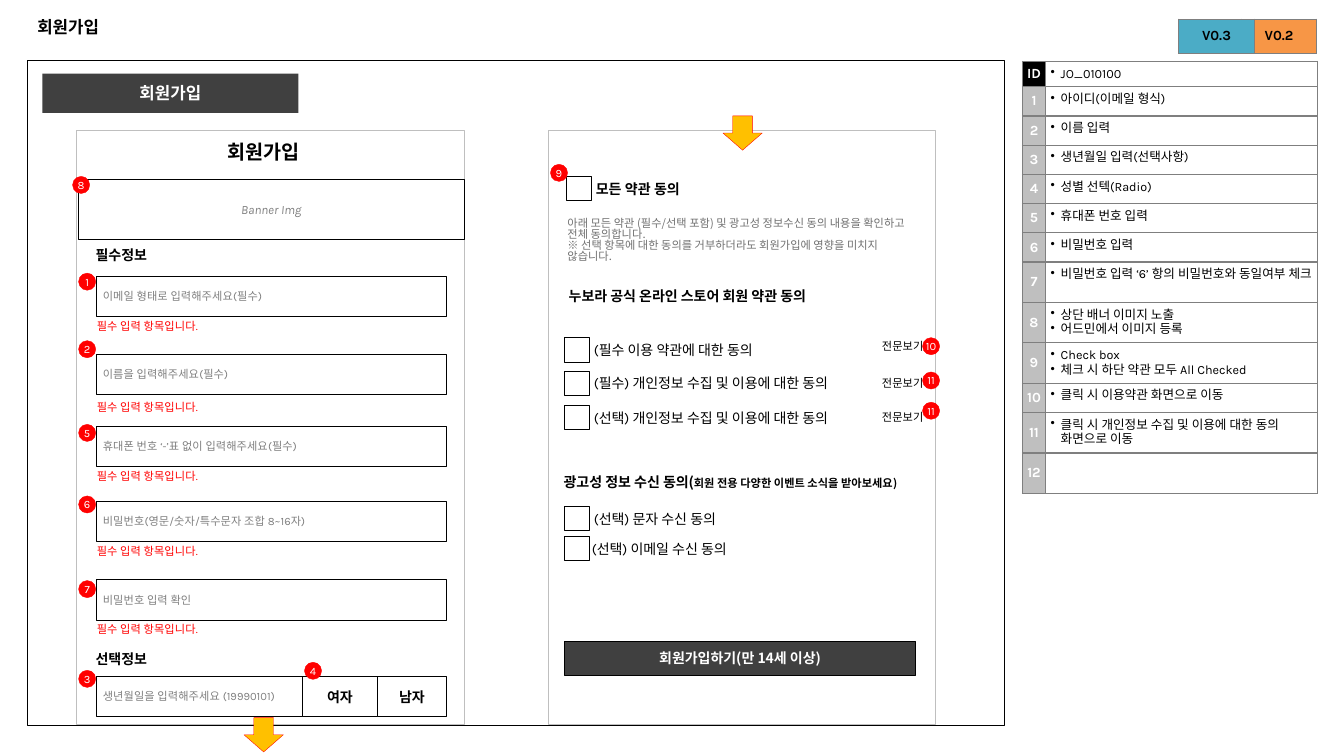
from lxml.etree import SubElement
from pptx import Presentation
from pptx.dml.color import RGBColor
from pptx.enum.shapes import MSO_SHAPE
from pptx.enum.text import MSO_ANCHOR, PP_ALIGN
from pptx.oxml.ns import qn
from pptx.util import Inches, Pt

BLACK, WHITE, RED, GRAY = "000000", "FFFFFF", "FF0000", "808080"
DARK, SILVER, AMBER = "404040", "BFBFBF", "FFC000"
KARLA, NOTO, ARIAL = "Karla", "Noto Sans CJK KR", "Arial"
LEFT, CENTER, RIGHT = PP_ALIGN.LEFT, PP_ALIGN.CENTER, PP_ALIGN.RIGHT
TOP, MIDDLE = MSO_ANCHOR.TOP, MSO_ANCHOR.MIDDLE


def color(value):
    """Turn a hex string into a colour."""
    return RGBColor.from_string(value)


class Wireframe:
    """Draw the elements of a screen specification on one page."""

    def __init__(self, page):
        """Keep the page to draw on."""
        self.page = page

    def style(self, span, size, ink=BLACK, font=KARLA, bold=False, italic=False):
        """Format one run for Latin and Korean text."""
        span.font.name = font
        span.font.size = Pt(size)
        span.font.bold = bold
        span.font.italic = italic
        span.font.color.rgb = color(ink)
        latin = span.font._element.find(qn("a:latin"))
        east_asian = SubElement(span.font._element, qn("a:ea"), typeface=font)
        latin.addnext(east_asian)

    def fill_text(self, frame, text, size, align=LEFT, anchor=MIDDLE, inset=0.04,
                  wrap=True, **look):
        """Fill a text frame, one paragraph per line."""
        frame.text = text
        frame.word_wrap = wrap
        frame.vertical_anchor = anchor
        frame.margin_left = frame.margin_right = Inches(inset)
        frame.margin_top = frame.margin_bottom = Inches(min(inset, 0.05))
        for para in frame.paragraphs:
            para.alignment = align
            for span in para.runs:
                self.style(span, size, **look)

    def title(self, text, *place):
        """Place and format the title placeholder."""
        box = self.page.shapes.title
        box.left, box.top, box.width, box.height = map(Inches, place)
        self.fill_text(box.text_frame, text, 12, inset=0.1, font=ARIAL, bold=True)

    def shape(self, place, fill=None, line=BLACK, kind=MSO_SHAPE.RECTANGLE, weight=0.25):
        """Add a flat preset shape."""
        box = self.page.shapes.add_shape(kind, *map(Inches, place))
        box.shadow.inherit = False
        if fill:
            box.fill.solid()
            box.fill.fore_color.rgb = color(fill)
        else:
            box.fill.background()
        if line:
            box.line.color.rgb = color(line)
            box.line.width = Pt(weight)
        else:
            box.line.fill.background()
        return box

    def label(self, place, text, size, anchor=TOP, **look):
        """Add a text box."""
        box = self.page.shapes.add_textbox(*map(Inches, place))
        self.fill_text(box.text_frame, text, size, anchor=anchor, **look)
        return box

    def button(self, place, text, size, fill=None, line=BLACK, **look):
        """Add a rectangle with centred text."""
        box = self.shape(place, fill, line)
        self.fill_text(box.text_frame, text, size, align=CENTER, **look)

    def field(self, place, hint):
        """Add an input field with its hint."""
        box = self.shape(place)
        self.fill_text(box.text_frame, hint, 8, inset=0.07, ink=GRAY)

    def badge(self, left, top, number):
        """Add a numbered red marker."""
        box = self.shape((left, top, 0.17, 0.17), RED, RED, MSO_SHAPE.OVAL)
        self.fill_text(box.text_frame, str(number), 8, align=CENTER, inset=0, wrap=False,
                       ink=WHITE)

    def arrow(self, left, top):
        """Add a continuation arrow."""
        self.shape((left, top, 0.39, 0.34), AMBER, RED, MSO_SHAPE.DOWN_ARROW)

    def checkbox(self, left, top, text, text_left, bold=False):
        """Add a check box and its caption."""
        self.shape((left, top, 0.24, 0.24))
        self.label((text_left, top, 3.15, 0.3), text, 10, bold=bold)

    def grid(self, left, top, widths, heights):
        """Add a table without a banded style."""
        frame = self.page.shapes.add_table(
            len(heights), len(widths), Inches(left), Inches(top),
            Inches(sum(widths)), Inches(sum(heights)))
        table = frame.table
        table.first_row = table.horz_banding = False
        for column, width in zip(table.columns, widths):
            column.width = Inches(width)
        for row, height in zip(table.rows, heights):
            row.height = Inches(height)
        return table

    def cell(self, cell, text, size, fill=None, inset=0, **look):
        """Fill one table cell and draw its borders."""
        self.fill_text(cell.text_frame, text, size, **look)
        cell.vertical_anchor = TOP if inset else MIDDLE
        cell.margin_left = cell.margin_right = Inches(inset)
        cell.margin_top = cell.margin_bottom = Inches(inset)
        properties = cell._tc.get_or_add_tcPr()
        for side in ("lnL", "lnR", "lnT", "lnB"):
            border = SubElement(properties, qn(f"a:{side}"), w=str(Pt(1)))
            SubElement(SubElement(border, qn("a:solidFill")), qn("a:srgbClr"), val="7F7F7F")
        if fill:
            cell.fill.solid()
            cell.fill.fore_color.rgb = color(fill)
        else:
            cell.fill.background()

    def version(self, left, text, fill):
        """Add a version tag."""
        table = self.grid(left, 0.19, [0.75], [0.34])
        self.cell(table.cell(0, 0), text, 10, fill, align=CENTER, bold=True)

    def descriptions(self, left, top, rows):
        """Add the numbered description table."""
        table = self.grid(left, top, [0.23, 2.7], [height for _, height in rows])
        for index, (text, _) in enumerate(rows):
            key, note = table.cell(index, 0), table.cell(index, 1)
            self.cell(key, str(index or "ID"), 10, SILVER if index else BLACK,
                      align=CENTER, ink=WHITE, bold=True)
            self.cell(note, text, 9, WHITE if index > 7 else None, inset=0.05)
            for para in note.text_frame.paragraphs:
                if para.text:
                    properties = para._p.get_or_add_pPr()
                    properties.set("marL", str(Inches(0.1)))
                    properties.set("indent", str(Inches(-0.1)))
                    SubElement(properties, qn("a:buChar"), char="•")


def main():
    """Build the sign-up screen page."""
    deck = Presentation()
    deck.slide_width, deck.slide_height = Inches(13.33), Inches(7.5)
    wire = Wireframe(deck.slides.add_slide(deck.slide_layouts[5]))

    for left in (0.76, 5.44):
        wire.shape((left, 1.29, 3.84, 5.89), WHITE, SILVER)
    wire.shape((0.27, 0.6, 9.69, 6.6), weight=0.75)
    wire.title("회원가입", 0.27, 0.07, 12.79, 0.39)
    wire.button((0.42, 0.73, 2.54, 0.39), "회원가입", 12, DARK, None,
                ink=WHITE, font=ARIAL, bold=True)
    wire.label((1.14, 1.34, 2.95, 0.34), "회원가입", 14, align=CENTER,
               inset=0.1, font=ARIAL, bold=True)
    wire.arrow(2.42, 7.12)
    wire.arrow(7.17, 1.15)

    wire.button((0.78, 1.78, 3.82, 0.59), "Banner Img", 9, ink=GRAY, italic=True)
    wire.badge(0.72, 1.75, 8)
    for top, text in ((2.4, "필수정보"), (6.4, "선택정보")):
        wire.label((0.85, top, 0.76, 0.27), text, 10, inset=0.1, wrap=False,
                   font=NOTO, bold=True)
    for number, top, badge_top, error_top, hint in (
            (1, 2.74, 2.71, 3.13, "이메일 형태로 입력해주세요(필수)"),
            (2, 3.51, 3.38, 3.93, "이름을 입력해주세요(필수)"),
            (5, 4.23, 4.21, 4.62, "휴대폰 번호 ‘-’표 없이 입력해주세요(필수)"),
            (6, 4.97, 4.92, 5.36, "비밀번호(영문/숫자/특수문자 조합 8~16자)"),
            (7, 5.75, 5.76, 6.13, "비밀번호 입력 확인")):
        wire.field((0.95, top, 3.48, 0.4), hint)
        wire.label((0.92, error_top, 1.44, 0.28), "필수 입력 항목입니다.", 8, ink=RED)
        wire.badge(0.78, badge_top, number)
    wire.field((0.95, 6.71, 2.05, 0.4), "생년월일을 입력해주세요 (19990101)")
    wire.button((3, 6.71, 0.74, 0.4), "여자", 10, WHITE, bold=True)
    wire.button((3.74, 6.71, 0.69, 0.4), "남자", 10, WHITE, bold=True)
    wire.badge(0.78, 6.65, 3)
    wire.badge(3.02, 6.57, 4)

    wire.checkbox(5.62, 1.75, "모든 약관 동의", 5.87, bold=True)
    wire.badge(5.46, 1.63, 9)
    notice = wire.label(
        (5.53, 2.12, 3.68, 0.64),
        "아래 모든 약관 (필수/선택 포함) 및 광고성 정보수신 동의 내용을 확인하고 전체 동의합니다.\n"
        "※ 선택 항목에 대한 동의를 거부하더라도 회원가입에 영향을 미치지 않습니다.",
        8, inset=0.1, ink="707070", font=NOTO)
    for para in notice.text_frame.paragraphs:
        para.line_spacing = 0.83
    wire.label((5.6, 2.81, 4.01, 0.28), "누보라 공식 온라인 스토어 회원 약관 동의", 10,
               font=NOTO, bold=True)
    for top, text, link_top, badge_top, number in (
            (3.35, "(필수 이용 약관에 대한 동의", 3.33, 3.35, 10),
            (3.68, "(필수) 개인정보 수집 및 이용에 대한 동의", 3.69, 3.69, 11),
            (4.02, "(선택) 개인정보 수집 및 이용에 대한 동의", 4.03, 3.99, 11)):
        wire.checkbox(5.6, top, text, 5.85)
        wire.label((8.52, link_top, 0.68, 0.21), "전문보기", 8, align=RIGHT)
        wire.badge(9.15, badge_top, number)
    marketing = wire.label((5.55, 4.66, 4.01, 0.28), "광고성 정보 수신 동의(", 10,
                           font=NOTO, bold=True)
    span = marketing.text_frame.paragraphs[0].add_run()
    span.text = "회원 전용 다양한 이벤트 소식을 받아보세요)"
    wire.style(span, 8, font=NOTO, bold=True)
    wire.checkbox(5.6, 5.02, "(선택) 문자 수신 동의", 5.85)
    wire.checkbox(5.6, 5.32, "(선택) 이메일 수신 동의", 5.83)
    wire.button((5.6, 6.36, 3.48, 0.34), "회원가입하기(만 14세 이상)", 10, DARK,
                ink=WHITE, font=NOTO, bold=True)

    wire.version(12.31, "V0.2", "F79646")
    wire.version(11.69, "V0.3", "4BACC6")
    wire.descriptions(10.14, 0.61, (
        ("JO_010100", 0.25), ("아이디(이메일 형식)", 0.29), ("이름 입력", 0.29),
        ("생년월일 입력(선택사항)", 0.29), ("성별 선텍(Radio)", 0.29),
        ("휴대폰 번호 입력", 0.29), ("비밀번호 입력", 0.29),
        ("비밀번호 입력 ‘6’ 항의 비밀번호와 동일여부 체크", 0.4),
        ("상단 배너 이미지 노출\n어드민에서 이미지 등록", 0.4),
        ("Check box\n체크 시 하단 약관 모두 All Checked", 0.4),
        ("클릭 시 이용약관 화면으로 이동", 0.29),
        ("클릭 시 개인정보 수집 및 이용에 대한 동의 화면으로 이동", 0.4), ("", 0.29)))
    deck.save("out.pptx")


if __name__ == "__main__":
    main()
